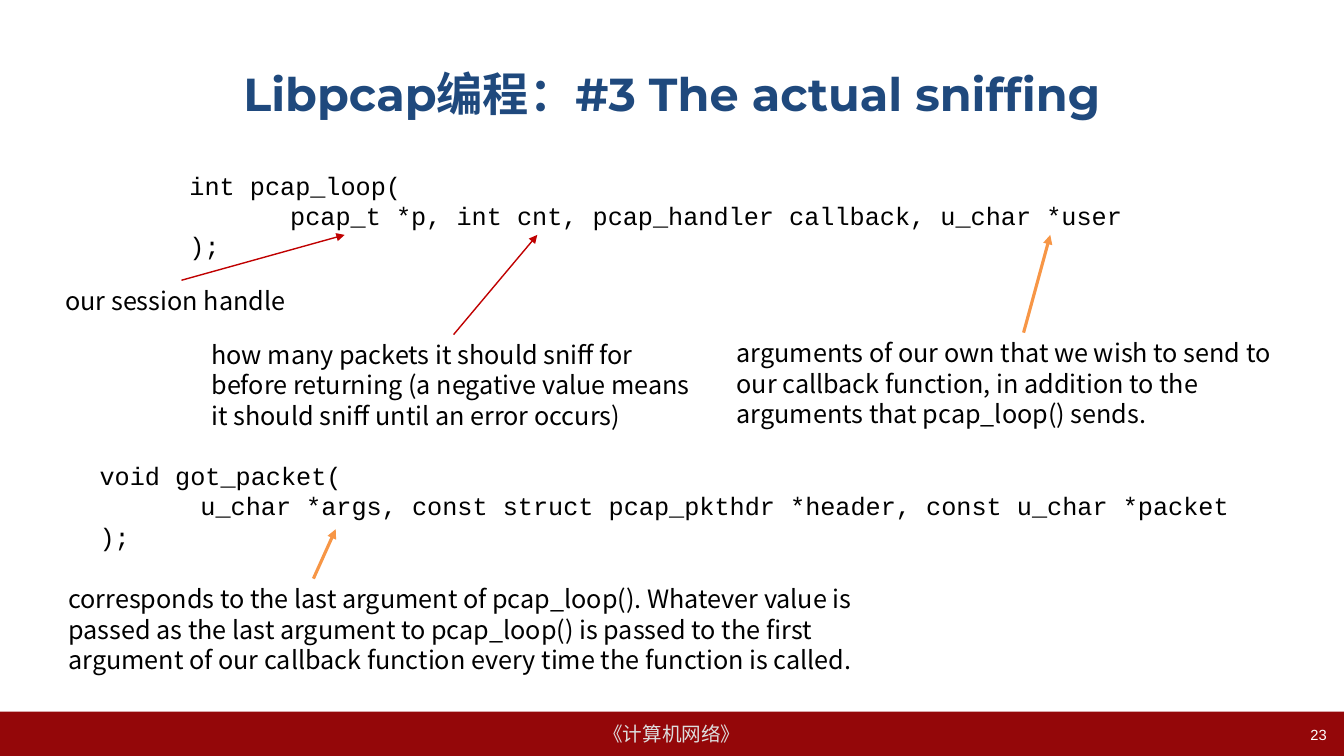
"""Build the slide on the libpcap sniffing loop and its callback."""
from lxml import etree
from pptx import Presentation
from pptx.dml.color import RGBColor
from pptx.enum import shapes, text
from pptx.oxml import ns
from pptx.util import Pt


def rgb(value):
    return RGBColor.from_string(value)


def add_element(parent, tag, **attributes):
    return etree.SubElement(parent, ns.qn(tag), attributes)


class SlideBuilder:
    BLACK, NAVY, WHITE, GRAY = "000000", "1F497D", "FFFFFF", "DDDDDD"
    BAR, RED, ORANGE = "940709", "C00000", "F79646"
    LEADING = 21.6

    def __init__(self, prs):
        self.s = prs.slides.add_slide(prs.slide_layouts[6])

    def fill_text(self, sp, content, font, size, color, align="LEFT", anchor="TOP",
                  bold=False, wrap=True, leading=None, tab=None):
        tf = sp.text_frame
        tf.word_wrap = wrap
        tf.vertical_anchor = text.MSO_ANCHOR[anchor]
        tf.text = content
        for p in tf.paragraphs:
            if tab:
                tabs = add_element(p._p.get_or_add_pPr(), "a:tabLst")
                add_element(tabs, "a:tab", pos=str(Pt(tab)), algn="l")
            p.alignment = text.PP_ALIGN[align]
            if leading:
                p.line_spacing = Pt(leading)
            for r in p.runs:
                r.font.name, r.font.size, r.font.bold = font, Pt(size), bold
                r.font.color.rgb = rgb(color)

    def label(self, box, content, font, size, color, **style):
        sp = self.s.shapes.add_textbox(*map(Pt, box))
        self.fill_text(sp, content, font, size, color, **style)
        return sp

    def footer(self, box, content):
        sp = self.s.shapes.add_shape(shapes.MSO_SHAPE.RECTANGLE, *map(Pt, box))
        sp.shadow.inherit = False
        sp.fill.solid()
        sp.fill.fore_color.rgb = rgb(self.BAR)
        sp.line.fill.background()
        self.fill_text(sp, content, "Arial", 14, self.GRAY,
                       align="CENTER", anchor="MIDDLE", wrap=False)

    def code(self, box, content):
        self.label(box, content, "Courier New", 18, self.BLACK,
                   leading=self.LEADING, tab=72)

    def note(self, box, content):
        return self.label(box, content, "Noto Sans CJK SC", 18, self.BLACK,
                          leading=self.LEADING)

    def arrow(self, start, end, color, width, source=None):
        c = self.s.shapes.add_connector(shapes.MSO_CONNECTOR.STRAIGHT,
                                        *map(Pt, (*start, *end)))
        if source is not None:
            c.begin_connect(source, 0)
        c.line.color.rgb = rgb(color)
        c.line.width = Pt(width)
        add_element(c.line._get_or_add_ln(), "a:tailEnd", type="triangle")
        add_element(c._element.spPr, "a:effectLst")

    def callout(self, box, content, tip, color, width):
        left, top, box_width, _ = box
        sp = self.note(box, content)
        self.arrow((left + box_width / 2, top), tip, color, width, sp)


def main():
    prs = Presentation()
    prs.slide_width, prs.slide_height = Pt(960), Pt(540)
    b = SlideBuilder(prs)
    b.footer((0, 508.3, 960, 31.7), "《计算机网络》")
    b.label((48, 21.6, 864, 90), "Libpcap编程：#3 The actual sniffing",
            "Montserrat", 33, b.NAVY, align="CENTER", anchor="MIDDLE", bold=True)
    b.label((730.8, 514.8, 223.9, 25.2), "23", "Arial", 10.5, b.WHITE, align="RIGHT")

    b.code((128.2, 118.1, 704.2, 72.7),
           "int pcap_loop(\n"
           "\tpcap_t *p, int cnt, pcap_handler callback, u_char *user\n"
           ");")
    tip_y = 167.8
    b.callout((144, 239, 360, 72.7),
              "how many packets it should sniff for before returning "
              "(a negative value means it should sniff until an error occurs)",
              (383.8, tip_y), b.RED, 1)
    b.callout((519.1, 237.6, 424.1, 72.7),
              "arguments of our own that we wish to send to our callback function, "
              "in addition to the arguments that pcap_loop() sends.",
              (750.2, tip_y), b.ORANGE, 2.25)
    b.callout((39.6, 200.2, 180, 29), "our session handle",
              (246.2, tip_y), b.RED, 1)

    b.code((64.1, 325.4, 832.3, 72.7),
           "void got_packet(\n"
           "\tu_char *args, const struct pcap_pkthdr *header, const u_char *packet\n"
           ");")
    b.note((41.8, 413.3, 594, 72.7),
           "corresponds to the last argument of pcap_loop(). Whatever value is passed "
           "as the last argument to pcap_loop() is passed to the first argument of "
           "our callback function every time the function is called.")
    b.arrow((223.9, 413.3), (239.8, 378), b.ORANGE, 2.25)
    prs.save("out.pptx")


if __name__ == "__main__":
    main()
